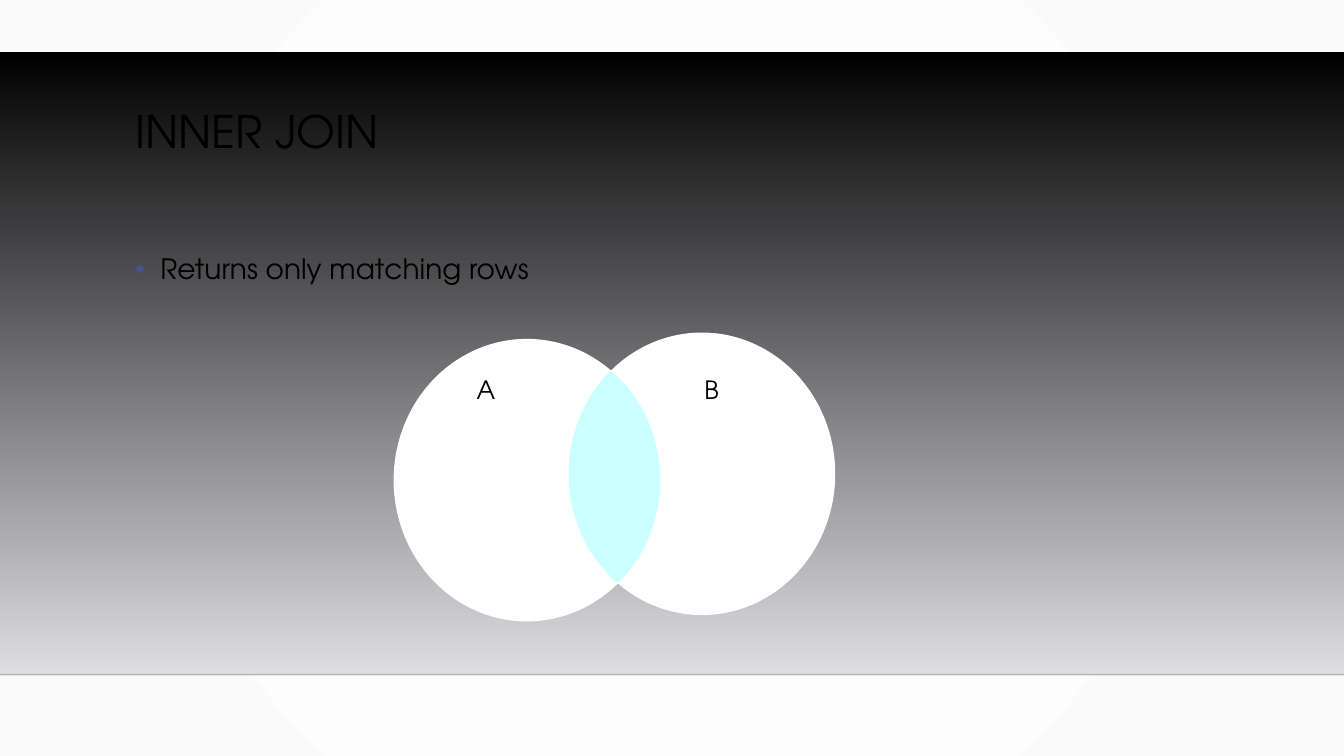
from math import atan2, cos, hypot, radians, sin

from lxml import etree
from pptx import Presentation
from pptx.dml.color import RGBColor
from pptx.enum.shapes import MSO_CONNECTOR, MSO_SHAPE
from pptx.enum.text import MSO_ANCHOR, MSO_AUTO_SIZE, PP_ALIGN
from pptx.oxml import parse_xml
from pptx.oxml.ns import nsdecls, qn
from pptx.util import Cm, Pt

TITLE = "INNER JOIN"
BULLET = "Returns only matching rows"
FONT = "TeX Gyre Adventor"

BLACK = RGBColor(0x00, 0x00, 0x00)
WHITE = RGBColor(0xFF, 0xFF, 0xFF)
OFF_WHITE = RGBColor(0xFA, 0xFA, 0xFA)
PANEL_END = RGBColor(0xDE, 0xDE, 0xE2)
RULE_COLOR = RGBColor(0x00, 0x00, 0x01)
BULLET_COLOR = RGBColor(0x41, 0x55, 0x88)
OVERLAP_COLOR = RGBColor(0xCC, 0xFF, 0xFF)

# Lengths in centimetres
SLIDE_WIDTH, SLIDE_HEIGHT = 33.87, 19.05
PANEL_TOP, PANEL_BOTTOM = 1.3, 17
TITLE_BOX = (3.15, 2.64, 26.67, 2.92)
BODY_BOX = (3.15, 6.05, 26.67, 9.14)
RADIUS_X, RADIUS_Y = 3.36, 3.56
CENTERS = [(17.69, 11.94), (13.28, 12.1)]
LABELS = [("A", (11.76, 9.3, 1.35, 1.02)), ("B", (17.5, 9.3, 1.45, 1.02))]


def to_cm(values):
    return [Cm(value) for value in values]


def set_gradient(fill, first, last):
    fill.gradient()
    for stop, color in zip(fill.gradient_stops, (first, last)):
        stop.color.rgb = color


def write(shape, text, size):
    frame = shape.text_frame
    frame.text = text
    frame.word_wrap = True
    frame.auto_size = MSO_AUTO_SIZE.NONE
    frame.vertical_anchor = MSO_ANCHOR.TOP
    paragraph = frame.paragraphs[0]
    paragraph.alignment = PP_ALIGN.LEFT
    font = paragraph.runs[0].font
    font.name, font.size, font.color.rgb = FONT, Pt(size), BLACK
    return paragraph


def place(shape, box):
    shape.left, shape.top, shape.width, shape.height = to_cm(box)


def paint(shape, color):
    shape.shadow.inherit = False
    shape.fill.solid()
    shape.fill.fore_color.rgb = color
    shape.line.fill.background()


def overlap_outline():
    """Points of each ellipse that lie inside the other, in order of angle."""
    points = []
    for (x, y), (other_x, other_y) in (CENTERS, CENTERS[::-1]):
        for degree in range(360):
            px = x + RADIUS_X * cos(radians(degree))
            py = y + RADIUS_Y * sin(radians(degree))
            if hypot((px - other_x) / RADIUS_X, (py - other_y) / RADIUS_Y) <= 1:
                points.append((px, py))
    middle_x, middle_y = (sum(axis) / 2 for axis in zip(*CENTERS))
    points.sort(key=lambda point: atan2(point[1] - middle_y, point[0] - middle_x))
    return [to_cm(point) for point in points]


presentation = Presentation()
presentation.slide_width, presentation.slide_height = to_cm((SLIDE_WIDTH, SLIDE_HEIGHT))
slide = presentation.slides.add_slide(presentation.slide_layouts[1])
shapes = slide.shapes
title, body = shapes.title, slide.placeholders[1]

# Radial background
set_gradient(slide.background.fill, WHITE, OFF_WHITE)
linear = next(slide.element.iter(qn("a:lin")))
linear.getparent().replace(linear, parse_xml(
    f'<a:path {nsdecls("a")} path="circle">'
    '<a:fillToRect l="50000" t="50000" r="50000" b="50000"/></a:path>'))

# Panel and its lower rule, behind the text
panel = shapes.add_shape(MSO_SHAPE.RECTANGLE, *to_cm(
    (0, PANEL_TOP, SLIDE_WIDTH, PANEL_BOTTOM - PANEL_TOP)))
panel.shadow.inherit = False
set_gradient(panel.fill, BLACK, PANEL_END)
panel.fill.gradient_angle = 270
panel.line.fill.background()

rule = shapes.add_connector(MSO_CONNECTOR.STRAIGHT, *to_cm(
    (0, PANEL_BOTTOM, SLIDE_WIDTH, PANEL_BOTTOM)))
rule.line.width = Pt(1)
rule.line.color.rgb = RULE_COLOR
rule_color = next(rule.element.iter(qn("a:srgbClr")))
etree.SubElement(rule_color, qn("a:alpha")).set("val", "20000")
etree.SubElement(rule.element.spPr, qn("a:effectLst"))
for backdrop in (panel, rule):
    title.element.addprevious(backdrop.element)

# Title and list
place(title, TITLE_BOX)
write(title, TITLE, 32).line_spacing = 0.9
place(body, BODY_BOX)
item = write(body, BULLET, 20)
item.line_spacing = 1.2
item.space_before = Pt(10)
properties = item._p.get_or_add_pPr()
properties.set("marL", str(Cm(0.64)))
properties.set("indent", str(-Cm(0.64)))
bullet_color = etree.SubElement(properties, qn("a:buClr"))
etree.SubElement(bullet_color, qn("a:srgbClr")).set("val", str(BULLET_COLOR))
etree.SubElement(properties, qn("a:buChar")).set("char", "•")

# Venn diagram
for x, y in CENTERS:
    paint(shapes.add_shape(MSO_SHAPE.OVAL, *to_cm(
        (x - RADIUS_X, y - RADIUS_Y, 2 * RADIUS_X, 2 * RADIUS_Y))), WHITE)
start, *others = overlap_outline()
builder = shapes.build_freeform(*start)
builder.add_line_segments(others, close=True)
paint(builder.convert_to_shape(), OVERLAP_COLOR)
for label, box in LABELS:
    write(shapes.add_textbox(*to_cm(box)), label, 18)

presentation.save("out.pptx")
